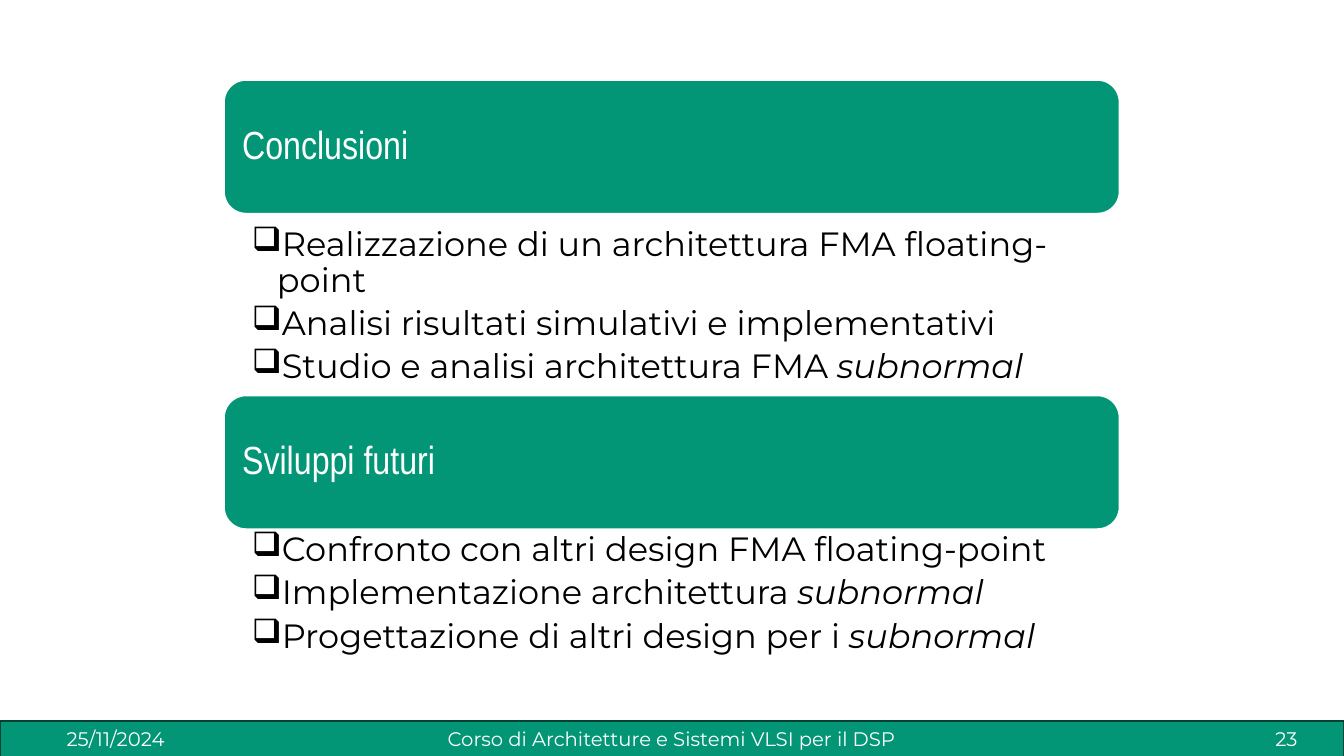
import pptx
import pptx.dml.color
import pptx.enum.shapes
import pptx.enum.text
import pptx.oxml.ns
import pptx.util
from dataclasses import dataclass
from lxml import etree
from pptx.util import Cm, Pt

ALIGN = pptx.enum.text.PP_ALIGN
ANCHOR = pptx.enum.text.MSO_ANCHOR
SHAPE = pptx.enum.shapes.MSO_SHAPE


@dataclass(frozen=True)
class Theme:
    green: str = "029676"
    dark_green: str = "014234"
    white: str = "FFFFFF"
    black: str = "000000"
    heading_font: str = "Arial Narrow"
    body_font: str = "Montserrat"
    heading_size: int = 28
    body_size: int = 24
    footer_size: int = 14


THEME = Theme()
SECTION_LEFT, SECTION_WIDTH, HEADING_HEIGHT = Cm(5.64), Cm(22.58), Cm(3.38)

# Each section: heading, top of heading, top and height of list (cm),
# then items as (plain text, italic ending)
SECTIONS = [
    ("Conclusioni", 2.01, 5.64, 4.29, [
        ("Realizzazione di un architettura FMA floating-point", ""),
        ("Analisi risultati simulativi e implementativi", ""),
        ("Studio e analisi architettura FMA ", "subnormal"),
    ]),
    ("Sviluppi futuri", 9.96, 13.34, 3.45, [
        ("Confronto con altri design FMA floating-point", ""),
        ("Implementazione architettura ", "subnormal"),
        ("Progettazione di altri design per i ", "subnormal"),
    ]),
]

# Footer texts with left, top, width and height (cm)
FOOTER = [
    ("25/11/2024", 0.25, 18.19, 5.33, 0.86, ANCHOR.TOP),
    ("Corso di Architetture e Sistemi VLSI per il DSP",
     8.05, 18.19, 17.75, 0.86, ANCHOR.TOP),
    ("23", 31.24, 18.16, 2.36, 0.91, ANCHOR.MIDDLE),
]


def color(value):
    return pptx.dml.color.RGBColor.from_string(value)


def style_paragraph(para, font, size, ink):
    para.font.name = font
    para.font.size = Pt(size)
    para.font.color.rgb = color(ink)


def set_margins(frame, left, top, right, bottom):
    frame.margin_left, frame.margin_top = Cm(left), Cm(top)
    frame.margin_right, frame.margin_bottom = Cm(right), Cm(bottom)


def add_panel(page, kind, left, top, width, height, outline):
    panel = page.shapes.add_shape(kind, left, top, width, height)
    panel.shadow.inherit = False
    panel.fill.solid()
    panel.fill.fore_color.rgb = color(THEME.green)
    panel.line.color.rgb = color(outline)
    panel.line.width = Pt(1.5)
    return panel


def add_heading(page, text, top):
    panel = add_panel(page, SHAPE.ROUNDED_RECTANGLE, SECTION_LEFT, Cm(top),
                      SECTION_WIDTH, HEADING_HEIGHT, THEME.white)
    frame = panel.text_frame
    frame.vertical_anchor = ANCHOR.MIDDLE
    set_margins(frame, 0.3, 0.3, 0.3, 0.3)
    para = frame.paragraphs[0]
    para.text = text
    para.alignment = ALIGN.LEFT
    para.line_spacing = 0.9
    style_paragraph(para, THEME.heading_font, THEME.heading_size, THEME.white)


def add_bullet(para):
    properties = para._p.get_or_add_pPr()
    properties.set("marL", str(Cm(0.63)))
    properties.set("indent", str(-Cm(0.63)))
    bullet = etree.SubElement(properties, pptx.oxml.ns.qn("a:buChar"))
    bullet.set("char", "❑")


def add_list(page, items, top, height):
    box = page.shapes.add_textbox(SECTION_LEFT, Cm(top), SECTION_WIDTH, Cm(height))
    frame = box.text_frame
    frame.word_wrap = True
    set_margins(frame, 0.71, 0.08, 0.48, 0.08)
    for index, (plain, italic) in enumerate(items):
        para = frame.add_paragraph() if index else frame.paragraphs[0]
        para.level = 1
        add_bullet(para)
        para.line_spacing = 0.9
        para.space_after = Pt(5)
        style_paragraph(para, THEME.body_font, THEME.body_size, THEME.black)
        para.add_run().text = plain
        if italic:
            span = para.add_run()
            span.text = italic
            span.font.italic = True


def add_footer_text(page, text, left, top, width, height, anchor):
    box = page.shapes.add_textbox(Cm(left), Cm(top), Cm(width), Cm(height))
    frame = box.text_frame
    frame.word_wrap = True
    frame.vertical_anchor = anchor
    para = frame.paragraphs[0]
    para.text = text
    para.alignment = ALIGN.CENTER
    style_paragraph(para, THEME.body_font, THEME.footer_size, THEME.white)


def main():
    deck = pptx.Presentation()
    deck.slide_width, deck.slide_height = Cm(33.87), Cm(19.05)
    page = deck.slides.add_slide(deck.slide_layouts[6])

    # Footer band
    add_panel(page, SHAPE.RECTANGLE, Cm(0), Cm(18.16), deck.slide_width,
              Cm(0.97), THEME.dark_green)
    for entry in FOOTER:
        add_footer_text(page, *entry)

    # Sections
    for heading, heading_top, list_top, list_height, items in SECTIONS:
        add_heading(page, heading, heading_top)
        add_list(page, items, list_top, list_height)

    deck.save("out.pptx")


if __name__ == "__main__":
    main()
